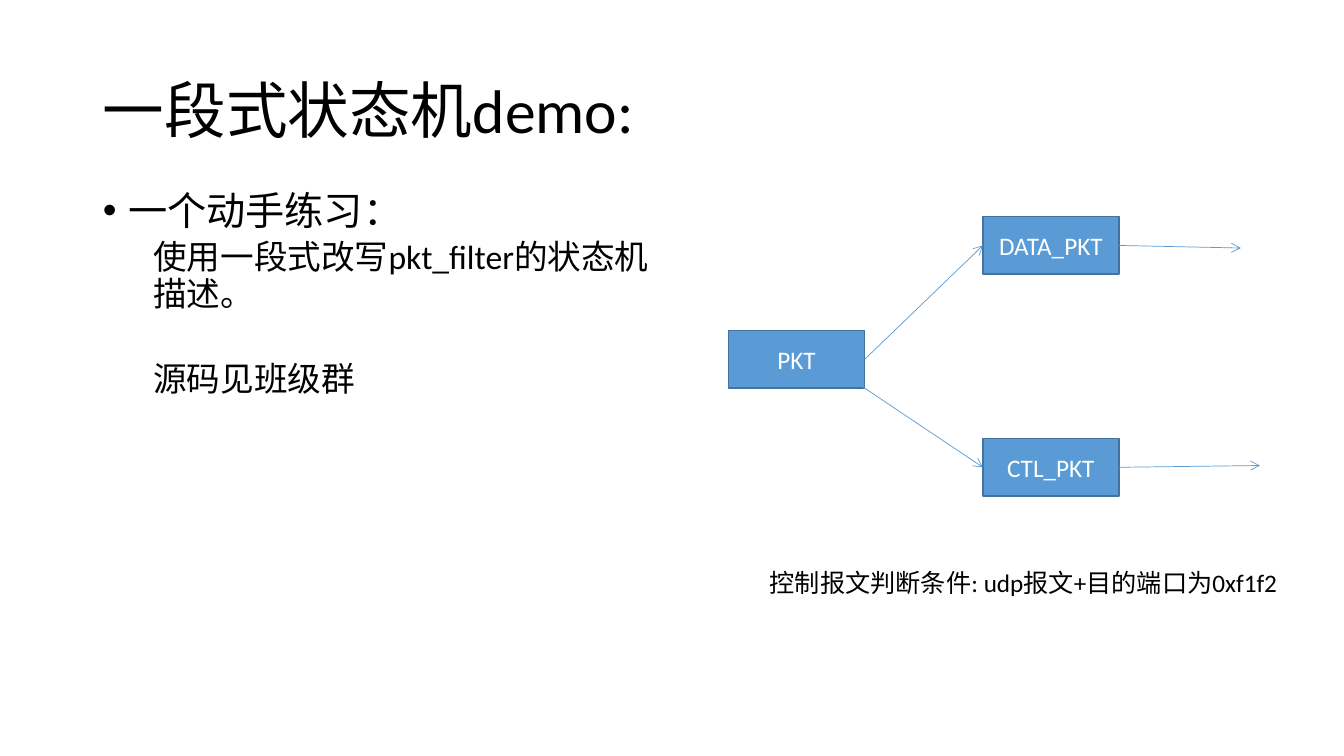
from lxml.etree import SubElement
from pptx import Presentation
from pptx.dml.color import RGBColor
from pptx.enum.shapes import MSO_CONNECTOR, MSO_SHAPE
from pptx.enum.text import MSO_ANCHOR, MSO_AUTO_SIZE, PP_ALIGN
from pptx.oxml.ns import qn
from pptx.util import Cm, Pt

FONT = "Calibri"
BLACK, WHITE, BLUE, BORDER = "000000", "FFFFFF", "5B9BD5", "43739E"

TITLE = "一段式状态机demo:"
# text, level, size, space before, left margin (cm), first-line indent (cm), bullet
BODY = [
    ("一个动手练习：", 0, 28, 10, 0.64, -0.64, "•"),
    ("使用一段式改写pkt_filter的状态机描述。", 1, 24, 5, 1.27, 0, None),
    ("源码见班级群", 1, 24, 35, 1.27, 0, None),
]
CAPTION = "控制报文判断条件: udp报文+目的端口为0xf1f2"

BOX_WIDTH, BOX_HEIGHT = 3.43, 1.45
STATES = {"PKT": (18.36, 8.33), "DATA_PKT": (24.77, 5.46), "CTL_PKT": (24.77, 11.05)}
# each end is a state's name, joined at its side, or a free point
ARROWS = [
    ("PKT", "DATA_PKT"),
    ((21.67, 9.7), "CTL_PKT"),
    ("DATA_PKT", (31.27, 6.25)),
    ("CTL_PKT", (31.75, 11.73)),
]
LEFT_SIDE, RIGHT_SIDE = 1, 3


def color(value):
    return RGBColor.from_string(value)


def place(shape, left, top, width, height):
    shape.left, shape.top = Cm(left), Cm(top)
    shape.width, shape.height = Cm(width), Cm(height)


def add_span(para, text, size, ink=BLACK):
    span = para.add_run()
    span.text = text
    span.font.name, span.font.size = FONT, Pt(size)
    span.font.color.rgb = color(ink)


def set_bullet(para, margin, indent, bullet):
    properties = para._p.get_or_add_pPr()
    properties.set("marL", str(Cm(margin)))
    properties.set("indent", str(Cm(indent)))
    if bullet:
        SubElement(properties, qn("a:buFont"), typeface="Arial")
        SubElement(properties, qn("a:buChar"), char=bullet)
    else:
        SubElement(properties, qn("a:buNone"))


def add_state(page, name, left, top):
    box = page.shapes.add_shape(MSO_SHAPE.RECTANGLE, Cm(left), Cm(top),
                                Cm(BOX_WIDTH), Cm(BOX_HEIGHT))
    box.shadow.inherit = False
    box.fill.solid()
    box.fill.fore_color.rgb = color(BLUE)
    box.line.color.rgb, box.line.width = color(BORDER), Pt(1)
    box.text_frame.vertical_anchor = MSO_ANCHOR.MIDDLE
    para = box.text_frame.paragraphs[0]
    para.alignment = PP_ALIGN.CENTER
    add_span(para, name, 18, WHITE)
    return box


def add_arrow(page, boxes, start, end):
    free = [point if isinstance(point, tuple) else (0, 0) for point in (start, end)]
    arrow = page.shapes.add_connector(MSO_CONNECTOR.STRAIGHT,
                                      *(Cm(value) for point in free for value in point))
    if start in boxes:
        arrow.begin_connect(boxes[start], RIGHT_SIDE)
    if end in boxes:
        arrow.end_connect(boxes[end], LEFT_SIDE)
    arrow.line.color.rgb, arrow.line.width = color(BLUE), Pt(0.5)
    SubElement(arrow.line._get_or_add_ln(), qn("a:tailEnd"), type="arrow")
    SubElement(arrow._element.spPr, qn("a:effectLst"))


def main():
    deck = Presentation()
    deck.slide_width, deck.slide_height = Cm(33.87), Cm(19.05)
    page = deck.slides.add_slide(deck.slide_layouts[1])

    title, body = page.placeholders
    place(title, 2.34, 1.02, 29.21, 3.68)
    title.text_frame.vertical_anchor = MSO_ANCHOR.MIDDLE
    para = title.text_frame.paragraphs[0]
    para.alignment, para.line_spacing = PP_ALIGN.LEFT, 0.9
    add_span(para, TITLE, 44)

    place(body, 2.34, 4.7, 14.4, 12.09)
    frame = body.text_frame
    for index, (text, level, size, before, margin, indent, bullet) in enumerate(BODY):
        para = frame.add_paragraph() if index else frame.paragraphs[0]
        para.level, para.line_spacing, para.space_before = level, 0.9, Pt(before)
        set_bullet(para, margin, indent, bullet)
        add_span(para, text, size)

    boxes = {name: add_state(page, name, *corner) for name, corner in STATES.items()}
    for start, end in ARROWS:
        add_arrow(page, boxes, start, end)

    caption = page.shapes.add_textbox(Cm(19.15), Cm(14.17), Cm(13.59), Cm(1.02))
    caption.text_frame.word_wrap = True
    caption.text_frame.auto_size = MSO_AUTO_SIZE.SHAPE_TO_FIT_TEXT
    add_span(caption.text_frame.paragraphs[0], CAPTION, 18)

    deck.save("out.pptx")


if __name__ == "__main__":
    main()
